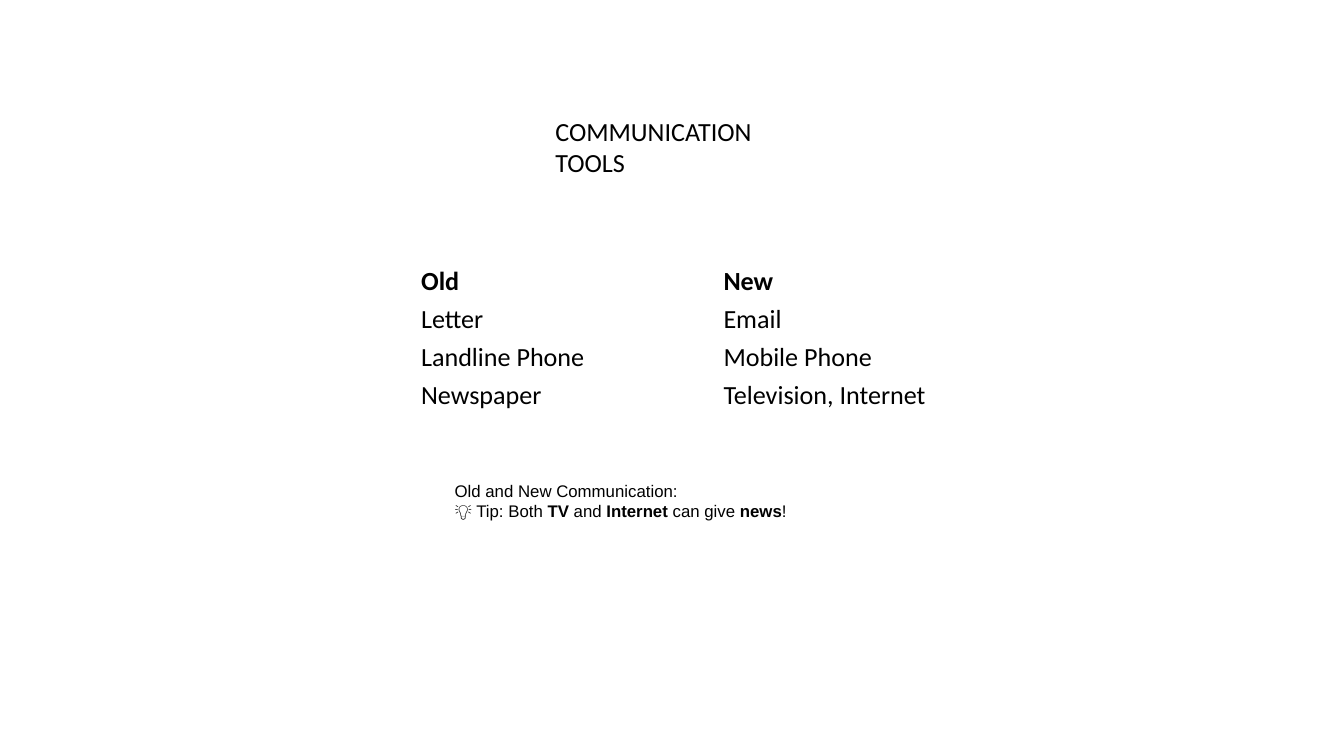
import dataclasses

import pptx
import pptx.dml.color
import pptx.enum.text
import pptx.util

# Square grid: 120 columns across the slide, six to the inch
UNIT = pptx.util.Inches(20) // 120
COLOURS = {"text": "000000"}
NO_STYLE_NO_GRID = "{2D5ABB26-0587-4C30-8999-92F81FD0307C}"


@dataclasses.dataclass
class Span:
    text: str
    bold: bool = False


@dataclasses.dataclass
class Area:
    left: float
    top: float
    width: float
    height: float

    def lengths(self) -> list[int]:
        return [round(n * UNIT) for n in dataclasses.astuple(self)]


@dataclasses.dataclass
class TextBlock:
    area: Area
    lines: list[list[Span]]
    font: str
    size: float
    wrap: bool = True
    anchor: pptx.enum.text.MSO_ANCHOR = pptx.enum.text.MSO_ANCHOR.TOP


def add_spans(paragraph, spans: list[Span], font: str, size: float) -> None:
    for span in spans:
        run = paragraph.add_run()
        run.text = span.text
        run.font.name = font
        run.font.size = pptx.util.Pt(size)
        run.font.bold = span.bold
        run.font.color.rgb = pptx.dml.color.RGBColor.from_string(COLOURS["text"])


def draw_text(page, block: TextBlock) -> None:
    box = page.shapes.add_textbox(*block.area.lengths())
    frame = box.text_frame
    frame.word_wrap = block.wrap
    frame.auto_size = pptx.enum.text.MSO_AUTO_SIZE.SHAPE_TO_FIT_TEXT
    frame.vertical_anchor = block.anchor
    for index, spans in enumerate(block.lines):
        paragraph = frame.add_paragraph() if index else frame.paragraphs[0]
        add_spans(paragraph, spans, block.font, block.size)


def draw_table(page, area: Area, rows: list[tuple[str, str]]) -> None:
    shape = page.shapes.add_table(len(rows), len(rows[0]), *area.lengths())
    table = shape.table
    table.first_row = table.horz_banding = False
    table._tbl.tblPr.find(pptx.oxml.ns.qn("a:tableStyleId")).text = NO_STYLE_NO_GRID
    for row_index, row in enumerate(rows):
        for column_index, text in enumerate(row):
            cell = table.cell(row_index, column_index)
            cell.fill.background()
            cell.vertical_anchor = pptx.enum.text.MSO_ANCHOR.MIDDLE
            cell.margin_top = cell.margin_bottom = pptx.util.Inches(0.04)
            span = Span(text, bold=row_index == 0)
            add_spans(cell.text_frame.paragraphs[0], [span], "Calibri", 28)


TITLE = TextBlock(
    Area(49, 10, 22, 6.25), [[Span("COMMUNICATION TOOLS")]], "Calibri", 28
)
TOOLS = [
    ("Old", "New"),
    ("Letter", "Email"),
    ("Landline Phone", "Mobile Phone"),
    ("Newspaper", "Television, Internet"),
]
TIP = TextBlock(
    Area(40, 43.25, 120, 3),
    [
        [Span("Old and New Communication:")],
        [
            Span("💡 Tip: Both "),
            Span("TV", True),
            Span(" and "),
            Span("Internet", True),
            Span(" can give "),
            Span("news", True),
            Span("!"),
        ],
    ],
    "Arial",
    18,
    wrap=False,
    anchor=pptx.enum.text.MSO_ANCHOR.MIDDLE,
)


def main() -> None:
    deck = pptx.Presentation()
    deck.slide_width = 120 * UNIT
    deck.slide_height = round(67.5 * UNIT)
    page = deck.slides.add_slide(deck.slide_layouts[6])

    # Title, comparison table, closing tip
    draw_text(page, TITLE)
    draw_table(page, Area(37, 23.4, 54, 13.6), TOOLS)
    draw_text(page, TIP)

    deck.save("out.pptx")


if __name__ == "__main__":
    main()
